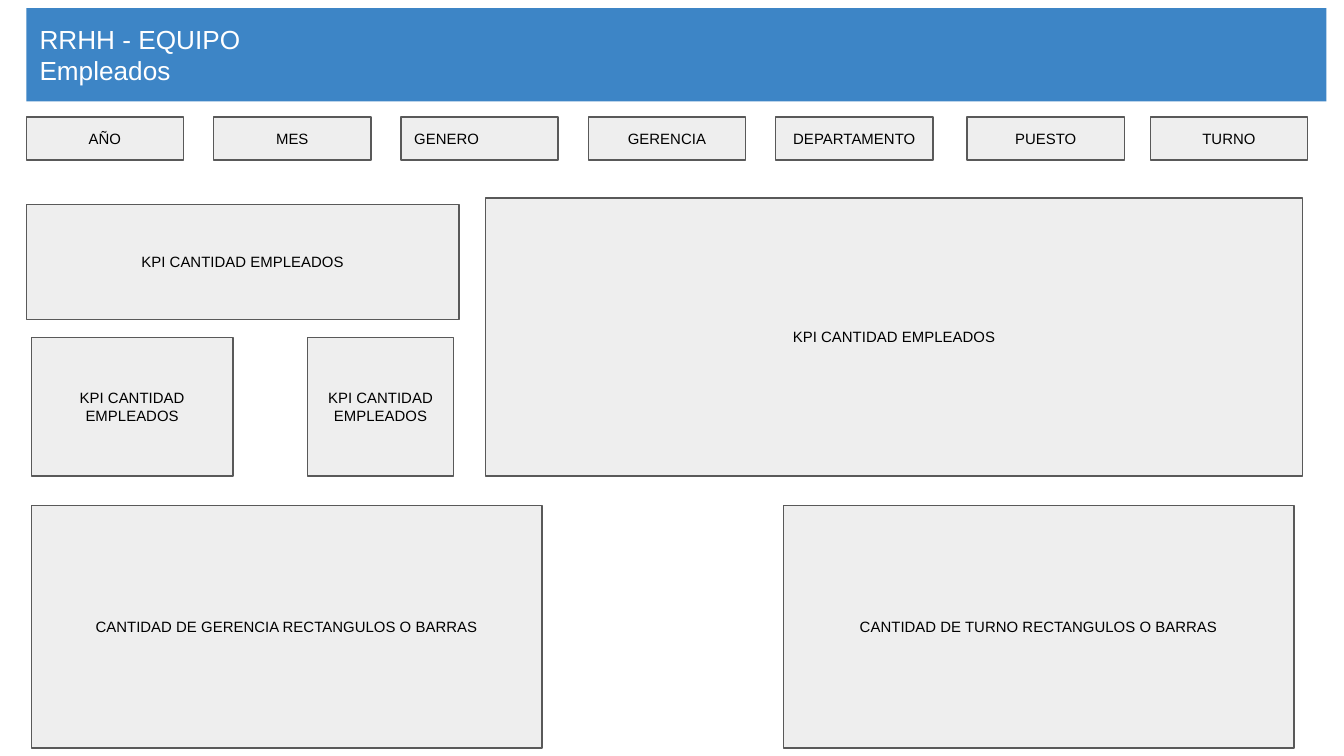
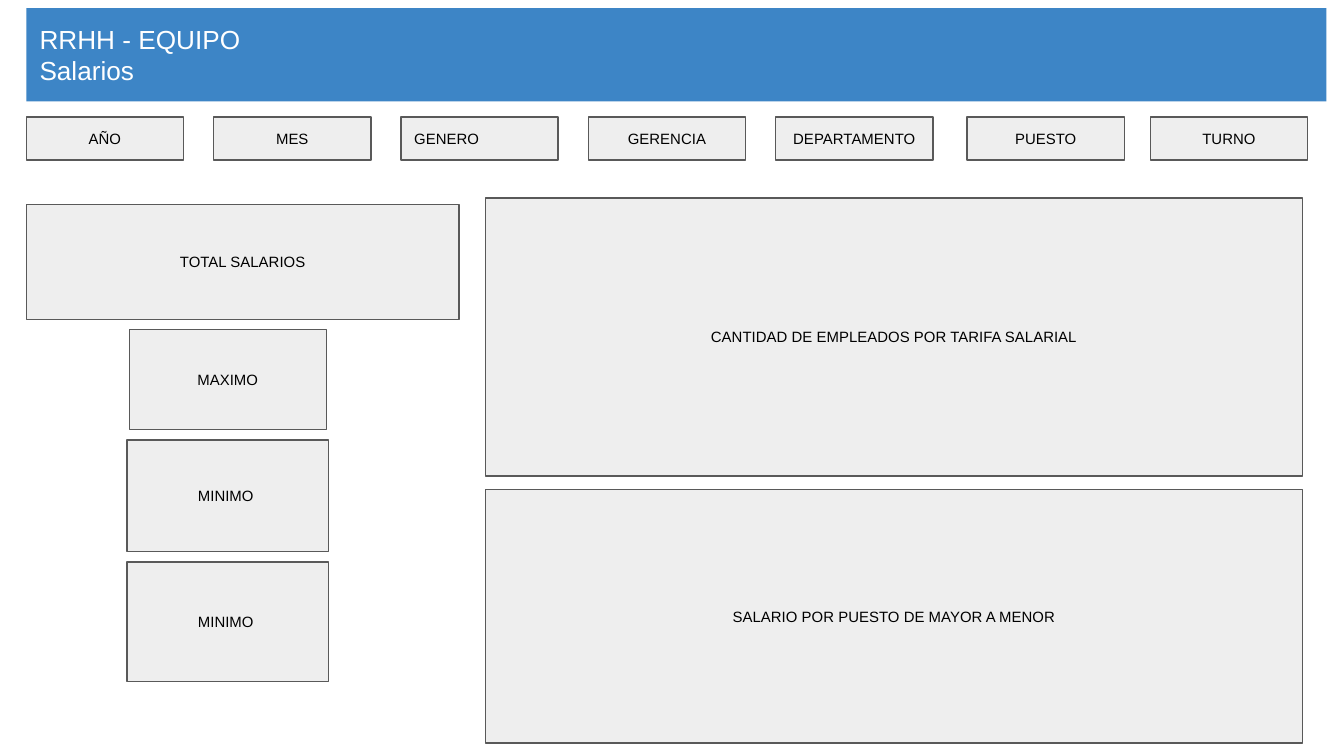
import pptx
import pptx.util
import pptx.dml.color
import pptx.enum.shapes
import pptx.enum.text

deck = pptx.Presentation()
deck.slide_width = pptx.util.Inches(10)
deck.slide_height = deck.slide_width * 9 // 16
unit = deck.slide_width / 100

ALIGN = pptx.enum.text.PP_ALIGN
BLUE, GRAY, EDGE, BLACK, WHITE = "3D85C6", "EEEEEE", "595959", "000000", "FFFFFF"

FILTERS = ["AÑO", "MES", "GENERO", "GERENCIA", "DEPARTAMENTO", "PUESTO", "TURNO"]
PITCH = 13.94
NUDGE = {"PUESTO": 0.3}

WIDE = (1.96, 15.2, 32.2, 8.6)
MAIN = (36.13, 14.73, 60.8, 20.7)
PAGES = {
    "Empleados": [
        ("KPI CANTIDAD EMPLEADOS", WIDE),
        ("KPI CANTIDAD EMPLEADOS", (2.34, 25.13, 15, 10.3)),
        ("KPI CANTIDAD EMPLEADOS", (22.88, 25.13, 10.87, 10.3)),
        ("KPI CANTIDAD EMPLEADOS", MAIN),
        ("CANTIDAD DE GERENCIA RECTANGULOS O BARRAS", (2.34, 37.61, 38, 18.05)),
        ("CANTIDAD DE TURNO RECTANGULOS O BARRAS", (58.29, 37.61, 38, 18.05)),
    ],
    "Salarios": [
        ("TOTAL SALARIOS", WIDE),
        ("MAXIMO", (9.62, 24.53, 14.67, 7.42)),
        ("MINIMO ", (9.46, 32.74, 15, 8.32)),
        ("MINIMO ", (9.46, 41.82, 15, 8.9)),
        ("CANTIDAD DE EMPLEADOS POR TARIFA SALARIAL", MAIN),
        ("SALARIO POR PUESTO DE MAYOR A MENOR", (36.13, 36.41, 60.8, 18.88)),
    ],
}


def tint(code):
    return pptx.dml.color.RGBColor.from_string(code)


def box(slide, text, place, fill=GRAY, edge=EDGE, ink=BLACK, size=8, align=ALIGN.CENTER):
    shape = slide.shapes.add_shape(
        pptx.enum.shapes.MSO_SHAPE.RECTANGLE, *[round(n * unit) for n in place])
    shape.shadow.inherit = False
    shape.fill.solid()
    shape.fill.fore_color.rgb = tint(fill)
    if edge:
        shape.line.color.rgb = tint(edge)
        shape.line.width = pptx.util.Pt(0.75)
    else:
        shape.line.fill.background()
    frame = shape.text_frame
    frame.word_wrap = True
    frame.vertical_anchor = pptx.enum.text.MSO_ANCHOR.MIDDLE
    frame.margin_left = frame.margin_right = round(unit)
    frame.margin_top = frame.margin_bottom = round(unit)
    frame.text = text
    para = frame.paragraphs[0]
    para.alignment = align
    para.font.name = "Arial"
    para.font.size = pptx.util.Pt(size)
    para.font.color.rgb = tint(ink)


for title, panels in PAGES.items():
    slide = deck.slides.add_slide(deck.slide_layouts[6])
    box(slide, f"RRHH - EQUIPO\v{title}", (1.96, 0.6, 96.74, 6.94),
        fill=BLUE, edge=None, ink=WHITE, size=14, align=ALIGN.LEFT)
    for i, name in enumerate(FILTERS):
        left = 1.96 + i * PITCH + NUDGE.get(name, 0)
        side = ALIGN.LEFT if name == "GENERO" else ALIGN.CENTER
        box(slide, name, (left, 8.7, 11.7, 3.2), align=side)
    for text, place in panels:
        box(slide, text, place)

deck.save("out.pptx")
